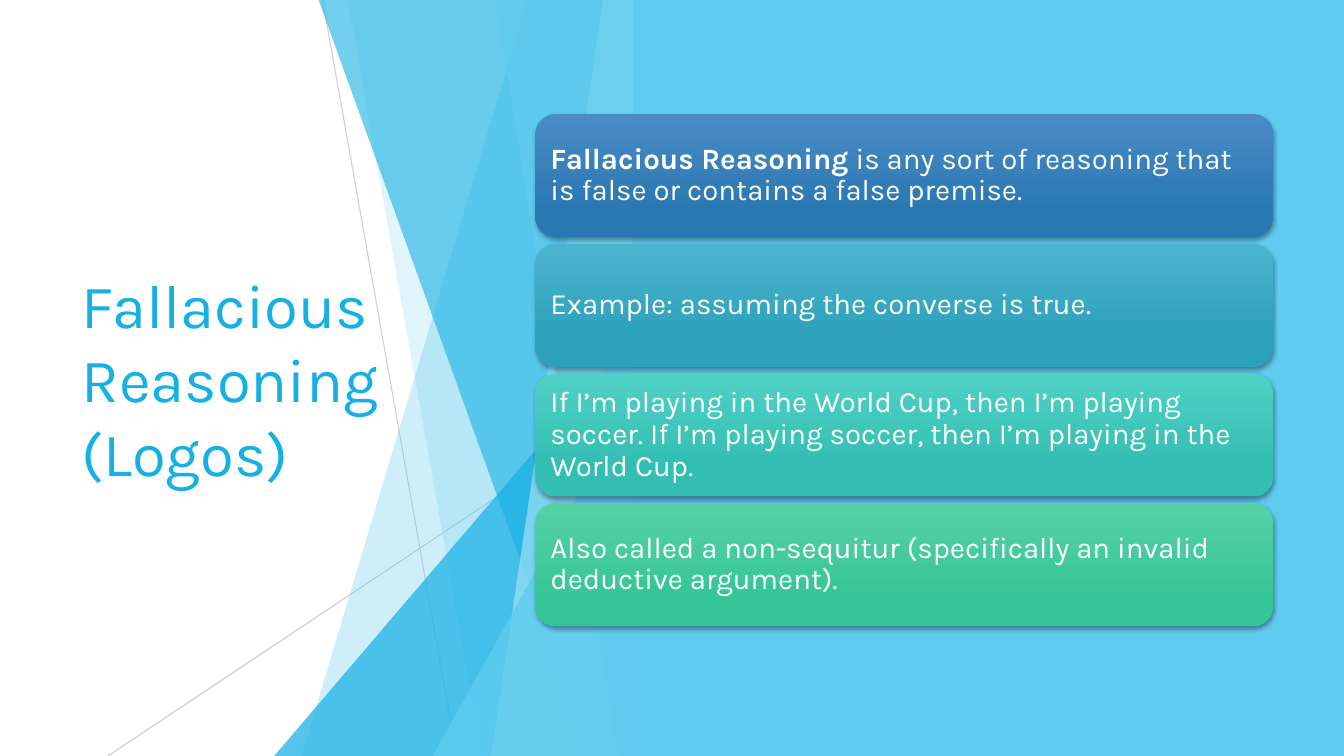
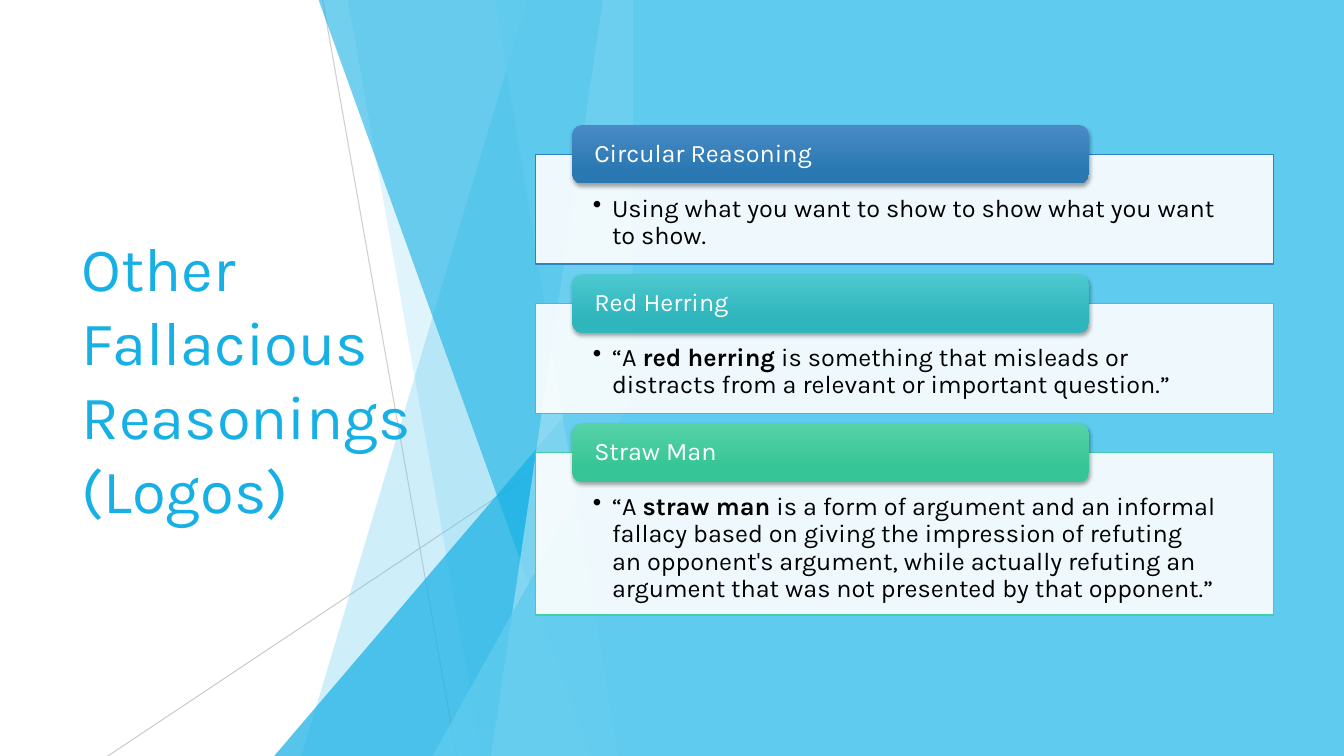
"""Build two slides on fallacious reasoning with a shared faceted layout."""
from dataclasses import dataclass

from lxml.etree import SubElement
from pptx import Presentation
from pptx.dml.color import RGBColor
from pptx.enum.shapes import MSO_CONNECTOR, MSO_SHAPE
from pptx.enum.text import MSO_ANCHOR, MSO_AUTO_SIZE, PP_ALIGN
from pptx.oxml.ns import qn
from pptx.util import Inches, Pt


@dataclass(frozen=True)
class Theme:
    font: str = "Karla"
    title_size: int = 44
    card_size: int = 21
    topic_size: int = 18
    sky: str = "5FCBEF"
    azure: str = "17B0E4"
    ice: str = "9FE0F5"
    grey: str = "BFBFBF"
    white: str = "FFFFFF"
    black: str = "000000"
    blue: tuple = ("4A8BC6", "2A78B2", "2E83C3")
    steel: tuple = ("4CB4CE", "2DA1BA")
    teal: tuple = ("50D1C6", "33BEB3")
    cyan: tuple = ("4DC8D0", "2FB5BC", "34C6CE")
    green: tuple = ("56D2A7", "36C596", "42D0A2")


THEME = Theme()
WIDTH, HEIGHT = 13.33, 7.5
PANEL_LEFT = 6.28
STACK_LEFT, STACK_WIDTH = 5.31, 7.32
CARD_TOP, CARD_BOTTOM, CARD_HEIGHT = 1.13, 6.21, 1.22
TOPIC_TOP, TOPIC_GAP, HEADER_HEIGHT = 1.24, 0.1, 0.58
BULLET_INDENT = 0.19

RAYS = [((3.2, 0), (4.53, HEIGHT), 75), ((PANEL_LEFT, 4.03), (1.07, HEIGHT), 80)]
FACETS = [
    ("shard", 5.23, 2.99, THEME.sky, 30),
    ("shard", 3.45, 4.78, THEME.sky, 20),
    ("triangle", 3.33, 2.72, THEME.azure, 72),
    ("shard", 3.16, 5.86, THEME.azure, 60),
    ("shard", 5.98, 4.87, THEME.ice, 70),
    ("shard", 4.91, 6.13, THEME.sky, 65),
    ("triangle", 3.93, 4.29, THEME.sky, 80),
]

CARDS_TITLE = "Fallacious Reasoning\n(Logos)"
CARDS = [
    (THEME.blue, [("Fallacious Reasoning", True),
                  (" is any sort of reasoning that is false or contains a false premise.", False)]),
    (THEME.steel, "Example: assuming the converse is true."),
    (THEME.teal, "If I’m playing in the World Cup, then I’m playing soccer. "
                 "If I’m playing soccer, then I’m playing in the World Cup."),
    (THEME.green, "Also called a non-sequitur (specifically an invalid deductive argument)."),
]

TOPICS_TITLE = "Other Fallacious Reasonings (Logos)"
TOPICS = [
    ("Circular Reasoning", THEME.blue, 1.09,
     "Using what you want to show to show what you want to show."),
    ("Red Herring", THEME.cyan, 1.09,
     [("“A ", False), ("red herring", True),
      (" is something that misleads or distracts from a relevant or important question.”", False)]),
    ("Straw Man", THEME.green, 1.61,
     [("“A ", False), ("straw man", True),
      (" is a form of argument and an informal fallacy based on giving the impression of "
       "refuting an opponent's argument, while actually refuting an argument that was not "
       "presented by that opponent.”", False)]),
]


def write(shape, text, *, size, color, insets=(0.1, 0.05, 0.1, 0.05),
          anchor=MSO_ANCHOR.MIDDLE, spacing=None, bullet=False):
    """Fill a shape with one left-aligned paragraph of plain or (text, bold) runs."""
    frame = shape.text_frame
    frame.word_wrap = True
    frame.auto_size = MSO_AUTO_SIZE.NONE
    frame.vertical_anchor = anchor
    (frame.margin_left, frame.margin_top,
     frame.margin_right, frame.margin_bottom) = map(Inches, insets)
    paragraph = frame.paragraphs[0]
    paragraph.alignment = PP_ALIGN.LEFT
    if spacing:
        paragraph.line_spacing = spacing
    if bullet:
        properties = paragraph._p.get_or_add_pPr()
        properties.set("marL", str(Inches(BULLET_INDENT)))
        properties.set("indent", str(-Inches(BULLET_INDENT)))
        SubElement(properties, qn("a:buChar"), char="•")
    runs = [(text, False)] if isinstance(text, str) else text
    for content, bold in runs:
        for number, line in enumerate(content.split("\n")):
            if number:
                paragraph.add_line_break()
            run = paragraph.add_run()
            run.text = line
            run.font.name = THEME.font
            run.font.size = Pt(size)
            run.font.bold = bold
            run.font.color.rgb = RGBColor.from_string(color)


def set_opacity(shape, percent):
    """Make the first colour of a shape partly transparent."""
    color = shape.element.spPr.find(".//" + qn("a:srgbClr"))
    SubElement(color, qn("a:alpha"), val=str(percent * 1000))


def paint(shape, color, opacity=100, outline=None):
    """Give a shape a flat fill, an optional outline and no shadow."""
    shape.shadow.inherit = False
    shape.fill.solid()
    shape.fill.fore_color.rgb = RGBColor.from_string(color)
    if outline:
        shape.line.color.rgb = RGBColor.from_string(outline)
        shape.line.width = Pt(1)
    else:
        shape.line.fill.background()
    if opacity < 100:
        set_opacity(shape, opacity)


def add_box(slide, kind, left, top, width, height):
    """Add a preset shape measured in inches."""
    return slide.shapes.add_shape(kind, *map(Inches, (left, top, width, height)))


def add_glossy_box(slide, left, top, width, height, colors):
    """Add a rounded box with a vertical gradient and a soft shadow."""
    box = add_box(slide, MSO_SHAPE.ROUNDED_RECTANGLE, left, top, width, height)
    box.line.fill.background()
    box.fill.gradient()
    box.fill.gradient_angle = 270
    for stop, color, position in zip(box.fill.gradient_stops, colors, (0, 0.78)):
        stop.color.rgb = RGBColor.from_string(color)
        stop.position = position
    box.shadow.inherit = False
    effects = box.element.spPr.find(qn("a:effectLst"))
    shadow = SubElement(effects, qn("a:outerShdw"), blurRad=str(Pt(3)), dist=str(Pt(2)),
                        dir="5400000", rotWithShape="0")
    color = SubElement(shadow, qn("a:srgbClr"), val=THEME.black)
    SubElement(color, qn("a:alpha"), val="35000")
    return box


def add_ray(slide, start, end, opacity):
    """Add a thin translucent line."""
    ray = slide.shapes.add_connector(MSO_CONNECTOR.STRAIGHT, *map(Inches, (*start, *end)))
    ray.line.color.rgb = RGBColor.from_string(THEME.grey)
    ray.line.width = Pt(0.75)
    set_opacity(ray, opacity)
    SubElement(ray.element.spPr, qn("a:effectLst"))
    return ray


def add_facet(slide, kind, top_value, bottom_left, color, opacity):
    """Add a translucent shard or right triangle that ends at the panel."""
    if kind == "triangle":
        facet = add_box(slide, MSO_SHAPE.ISOSCELES_TRIANGLE, bottom_left, top_value,
                        PANEL_LEFT - bottom_left, HEIGHT - top_value)
        facet.adjustments[0] = 1
    else:
        builder = slide.shapes.build_freeform(Inches(top_value), 0)
        corners = [(PANEL_LEFT, 0), (PANEL_LEFT, HEIGHT), (bottom_left, HEIGHT)]
        builder.add_line_segments([(Inches(x), Inches(y)) for x, y in corners])
        facet = builder.convert_to_shape()
    paint(facet, color, opacity)
    return facet


def prepare_layout(layout, slide):
    """Place the title and move the shared decoration onto the layout."""
    title = layout.placeholders[0]
    title.left, title.top, title.width, title.height = map(Inches, (0.71, 1.51, 3.88, 4.48))
    decoration = [add_ray(slide, *ray) for ray in RAYS]
    decoration += [add_facet(slide, *facet) for facet in FACETS]
    panel = add_box(slide, MSO_SHAPE.RECTANGLE, PANEL_LEFT, 0, WIDTH - PANEL_LEFT, HEIGHT)
    paint(panel, THEME.sky)
    for number, shape in enumerate([*decoration, panel], start=100):
        shape.element.xpath("./*/p:cNvPr")[0].set("id", str(number))
        layout.shapes.element.append(shape.element)


def add_cards(slide):
    """Stack equal cards between the fixed top and bottom."""
    pitch = (CARD_BOTTOM - CARD_TOP - CARD_HEIGHT) / (len(CARDS) - 1)
    for row, (colors, text) in enumerate(CARDS):
        card = add_glossy_box(slide, STACK_LEFT, CARD_TOP + row * pitch,
                              STACK_WIDTH, CARD_HEIGHT, colors)
        write(card, text, size=THEME.card_size, color=THEME.white,
              insets=(0.09,) * 4, spacing=0.9)


def add_topics(slide):
    """Stack outlined boxes, each with a header across its top edge."""
    top = TOPIC_TOP
    for heading, colors, height, text in TOPICS:
        body_top = top + HEADER_HEIGHT / 2
        body = add_box(slide, MSO_SHAPE.RECTANGLE, STACK_LEFT, body_top, STACK_WIDTH, height)
        paint(body, THEME.white, 90, outline=colors[2])
        write(body, text, size=THEME.topic_size, color=THEME.black, anchor=MSO_ANCHOR.TOP,
              insets=(0.57, 0.41, 0.57, 0.14), spacing=0.9, bullet=True)
        header = add_glossy_box(slide, STACK_LEFT + STACK_WIDTH * 0.05, top,
                                STACK_WIDTH * 0.7, HEADER_HEIGHT, colors)
        write(header, heading, size=THEME.topic_size, color=THEME.white,
              insets=(0.19, 0, 0.19, 0), spacing=0.9)
        top = body_top + height + TOPIC_GAP


def main():
    """Build and save the presentation."""
    presentation = Presentation()
    presentation.slide_width, presentation.slide_height = Inches(WIDTH), Inches(HEIGHT)
    layout = presentation.slide_layouts[5]
    pages = [(CARDS_TITLE, add_cards), (TOPICS_TITLE, add_topics)]
    for number, (title, add_content) in enumerate(pages):
        slide = presentation.slides.add_slide(layout)
        if number == 0:
            prepare_layout(layout, slide)
        write(slide.shapes.title, title, size=THEME.title_size, color=THEME.azure)
        add_content(slide)
    presentation.save("out.pptx")


if __name__ == "__main__":
    main()
